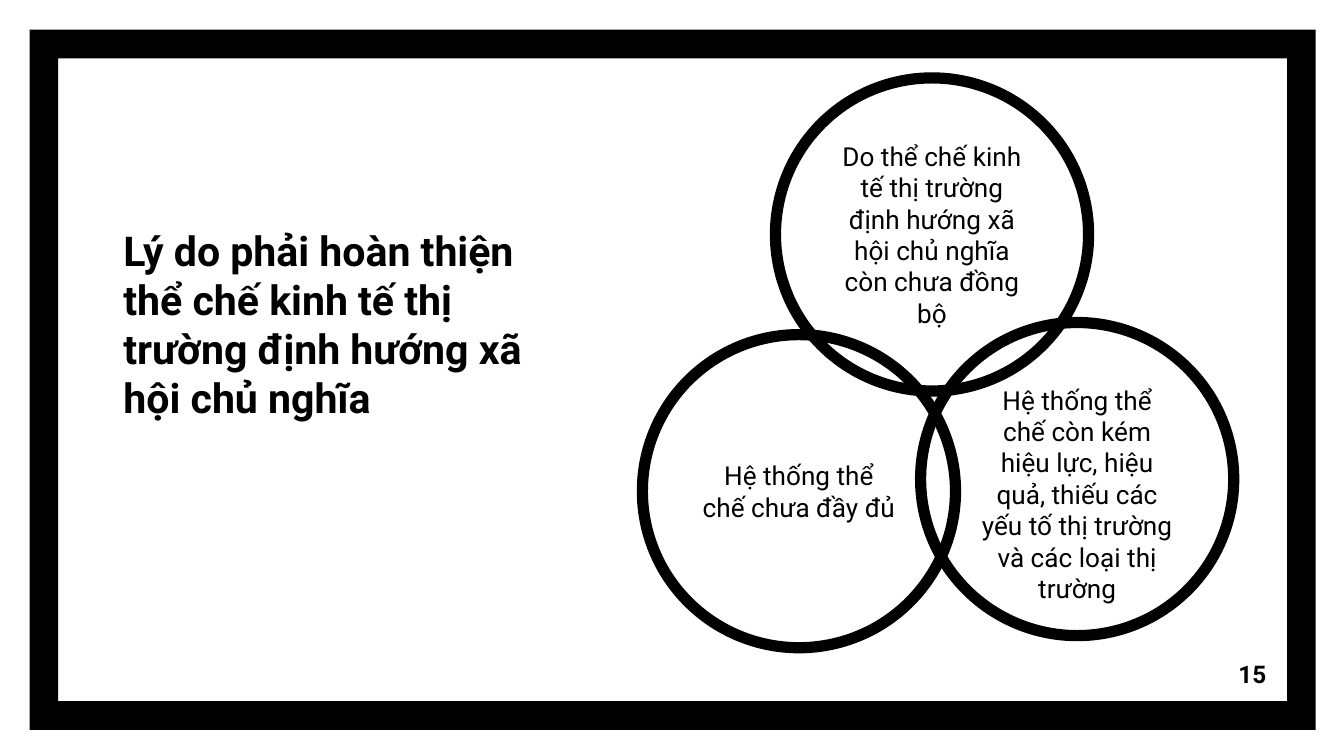
"""Build a slide with a title and three overlapping circles of reasons."""
import pptx
import pptx.dml.color
import pptx.enum.shapes
import pptx.enum.text
import pptx.util

Inches = pptx.util.Inches
Align = pptx.enum.text.PP_ALIGN
Anchor = pptx.enum.text.MSO_ANCHOR
Shape = pptx.enum.shapes.MSO_SHAPE

COLORS = {"ink": "000000", "paper": "FFFFFF"}
FONT = "Roboto"
INSET = 0.1
DIAMETER = 2.33
CIRCLE_LINE = 6
SLIDE_WIDTH = 10
SLIDE_HEIGHT = SLIDE_WIDTH * 9 / 16

FRAME = (0.22, 0.22, 9.57, 5.21)
FRAME_THICKNESS = 0.041

REASONS = [
    {"left": 5.77, "top": 0.58, "lowered": 0,
     "text": "Do thể chế kinh tế thị trường định hướng xã hội chủ nghĩa còn chưa đồng bộ"},
    {"left": 4.78, "top": 2.49, "lowered": 0,
     "text": "Hệ thống thể chế chưa đầy đủ"},
    {"left": 6.85, "top": 2.4, "lowered": 0.11,
     "text": "Hệ thống thể chế còn kém hiệu lực, hiệu quả, thiếu các yếu tố thị trường "
             "và các loại thị trường"},
]
LABELS = [
    {"box": (0.82, 1.75, 3.52, 1.49), "size": 22, "align": Align.LEFT, "anchor": Anchor.BOTTOM,
     "text": "Lý do phải hoàn thiện thể chế kinh tế thị trường định hướng xã hội chủ nghĩa"},
    {"box": (8.92, 4.8, 0.6, 0.43), "size": 13, "align": Align.RIGHT, "anchor": Anchor.MIDDLE,
     "text": "15"},
]


def color(name):
    return pptx.dml.color.RGBColor.from_string(COLORS[name])


def set_attributes(target, values):
    for name, value in values.items():
        setattr(target, name, value)


def write_text(shape, text, size, align, anchor, bold=False, lowered=0):
    frame = shape.text_frame
    set_attributes(frame, {
        "word_wrap": True, "vertical_anchor": anchor,
        "margin_left": Inches(INSET), "margin_right": Inches(INSET),
        "margin_top": Inches(INSET + lowered), "margin_bottom": Inches(INSET - lowered),
    })
    paragraph = frame.paragraphs[0]
    paragraph.alignment = align
    run = paragraph.add_run()
    run.text = text
    set_attributes(run.font, {"name": FONT, "size": pptx.util.Pt(size), "bold": bold})
    run.font.color.rgb = color("ink")


def add_frame(slide):
    shape = slide.shapes.add_shape(Shape.FRAME, *map(Inches, FRAME))
    shape.shadow.inherit = False
    shape.adjustments[0] = FRAME_THICKNESS
    shape.fill.solid()
    shape.fill.fore_color.rgb = color("ink")
    shape.line.fill.background()


def add_reason(slide, reason):
    box = (reason["left"], reason["top"], DIAMETER, DIAMETER)
    shape = slide.shapes.add_shape(Shape.OVAL, *map(Inches, box))
    shape.shadow.inherit = False
    shape.fill.background()
    shape.line.color.rgb = color("ink")
    shape.line.width = pptx.util.Pt(CIRCLE_LINE)
    write_text(shape, reason["text"], 14, Align.CENTER, Anchor.MIDDLE,
               lowered=reason["lowered"])


def main():
    presentation = pptx.Presentation()
    set_attributes(presentation, {
        "slide_width": Inches(SLIDE_WIDTH), "slide_height": Inches(SLIDE_HEIGHT),
    })
    slide = presentation.slides.add_slide(presentation.slide_layouts[6])
    slide.background.fill.solid()
    slide.background.fill.fore_color.rgb = color("paper")
    add_frame(slide)
    for reason in REASONS:
        add_reason(slide, reason)
    for label in LABELS:
        shape = slide.shapes.add_textbox(*map(Inches, label["box"]))
        write_text(shape, label["text"], label["size"], label["align"], label["anchor"], bold=True)
    presentation.save("out.pptx")


if __name__ == "__main__":
    main()
